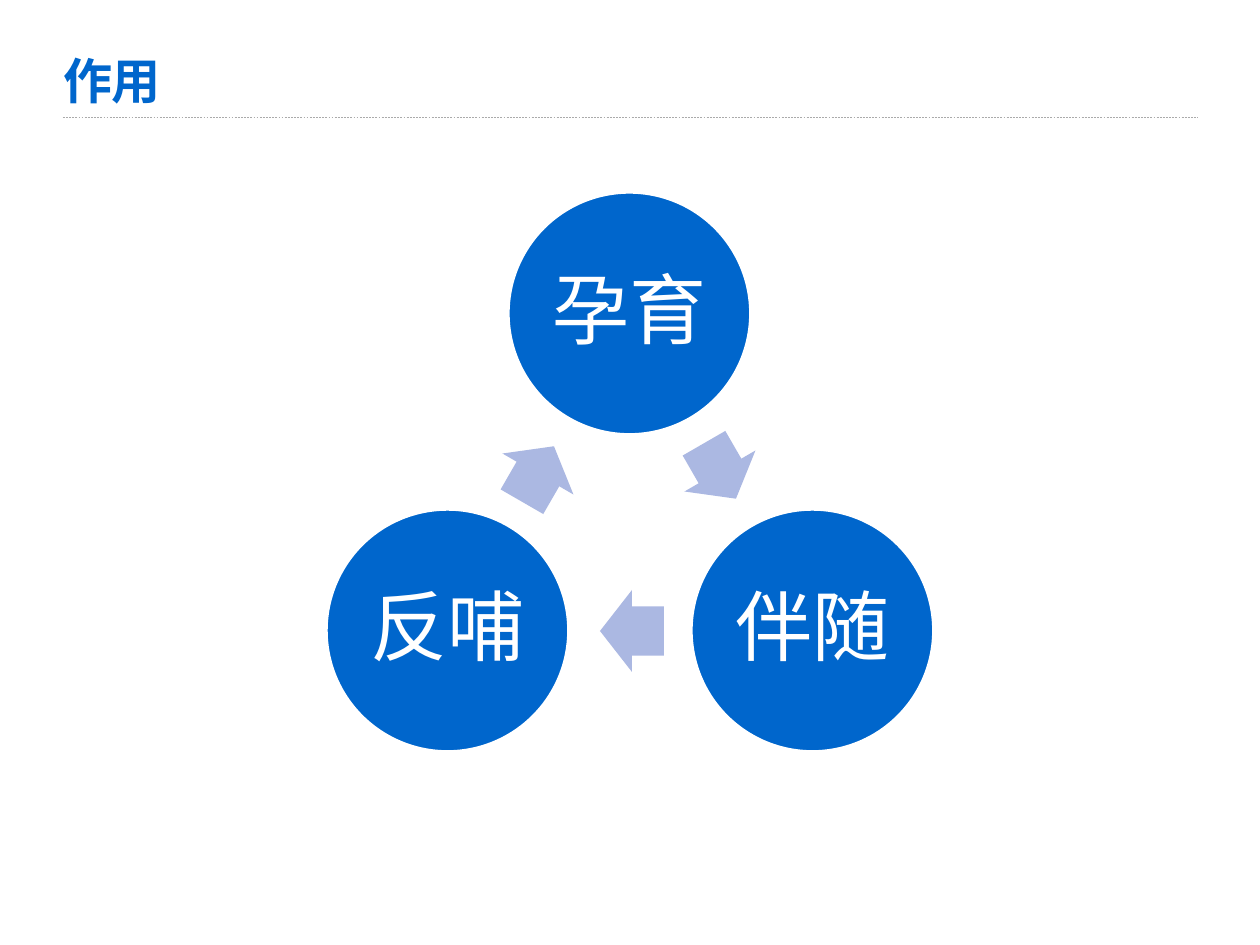
import math
from dataclasses import dataclass

import pptx
import pptx.dml.color
import pptx.enum.dml
import pptx.enum.shapes
import pptx.enum.text
import pptx.oxml.ns
import pptx.util
from lxml import etree

PX = 914400 // 126
FONT = "DejaVu Sans"
BLUE, PALE_BLUE, WHITE, GREY = "0066CC", "ABB8E2", "FFFFFF", "AAAAAA"

RING_X, RING_Y, RING_RADIUS = 630, 525, 211
CIRCLE_SIZE = 243
ARROW_LENGTH, ARROW_WIDTH = 64, 82
ARROW_SETBACK = 2


@dataclass(frozen=True)
class Stage:
    label: str
    angle: int  # degrees clockwise from the top of the ring


STAGES = [Stage("孕育", 0), Stage("伴随", 120), Stage("反哺", 240)]


def px(length: float) -> int:
    return round(length) * PX


def color(value: str) -> pptx.dml.color.RGBColor:
    return pptx.dml.color.RGBColor.from_string(value)


def ring_point(angle: float, radius: float) -> tuple[float, float]:
    turn = math.radians(angle)
    return RING_X + radius * math.sin(turn), RING_Y - radius * math.cos(turn)


def style_text(frame, text: str, size: int, hex_color: str, bold: bool = False) -> None:
    frame.text = text
    paragraph = frame.paragraphs[0]
    paragraph.line_spacing = 0.9
    font = paragraph.runs[0].font
    font.name, font.size, font.bold = FONT, pptx.util.Pt(size), bold
    font.color.rgb = color(hex_color)
    east_asian = etree.SubElement(font._element, pptx.oxml.ns.qn("a:ea"))
    east_asian.set("typeface", FONT)


def add_centered(slide, kind, center: tuple[float, float], width: int, height: int, fill: str):
    x, y = center
    shape = slide.shapes.add_shape(
        kind, px(x - width / 2), px(y - height / 2), px(width), px(height))
    shape.shadow.inherit = False
    shape.fill.solid()
    shape.fill.fore_color.rgb = color(fill)
    return shape


def add_circle(slide, stage: Stage) -> None:
    circle = add_centered(slide, pptx.enum.shapes.MSO_SHAPE.OVAL,
                          ring_point(stage.angle, RING_RADIUS),
                          CIRCLE_SIZE, CIRCLE_SIZE, BLUE)
    circle.line.color.rgb = color(WHITE)
    circle.line.width = pptx.util.Pt(2)
    frame = circle.text_frame
    frame.margin_left = frame.margin_right = px(7)
    frame.margin_top = frame.margin_bottom = px(7)
    frame.word_wrap = False
    frame.vertical_anchor = pptx.enum.text.MSO_ANCHOR.MIDDLE
    style_text(frame, stage.label, 44, WHITE)
    frame.paragraphs[0].alignment = pptx.enum.text.PP_ALIGN.CENTER


def add_arrow(slide, stage: Stage) -> None:
    """Point from this stage to the next, just short of halfway."""
    direction = stage.angle + 60
    x, y = ring_point(direction, RING_RADIUS / 2)
    turn = math.radians(direction)
    center = (x - ARROW_SETBACK * math.cos(turn), y - ARROW_SETBACK * math.sin(turn))
    arrow = add_centered(slide, pptx.enum.shapes.MSO_SHAPE.RIGHT_ARROW, center,
                         ARROW_LENGTH, ARROW_WIDTH, PALE_BLUE)
    arrow.line.fill.background()
    arrow.adjustments[0], arrow.adjustments[1] = 0.6, 0.5
    arrow.rotation = direction


def add_heading(slide, text: str) -> None:
    rule = slide.shapes.add_connector(
        pptx.enum.shapes.MSO_CONNECTOR.STRAIGHT, px(63), px(117), px(1198), px(117))
    rule.line.color.rgb = color(GREY)
    rule.line.width = pptx.util.Pt(0.25)
    rule.line.dash_style = pptx.enum.dml.MSO_LINE.DASH
    etree.SubElement(rule._element.spPr, pptx.oxml.ns.qn("a:effectLst"))

    heading = slide.shapes.add_textbox(px(63), px(50), px(979), px(66))
    frame = heading.text_frame
    frame.word_wrap = True
    frame.margin_left = 0
    frame.vertical_anchor = pptx.enum.text.MSO_ANCHOR.BOTTOM
    style_text(frame, text, 28, BLUE, bold=True)


def main() -> None:
    deck = pptx.Presentation()
    deck.slide_width, deck.slide_height = pptx.util.Inches(10), pptx.util.Inches(7.5)
    slide = deck.slides.add_slide(deck.slide_layouts[6])
    add_heading(slide, "作用")
    for stage in STAGES:
        add_circle(slide, stage)
        add_arrow(slide, stage)
    deck.save("out.pptx")


if __name__ == "__main__":
    main()
